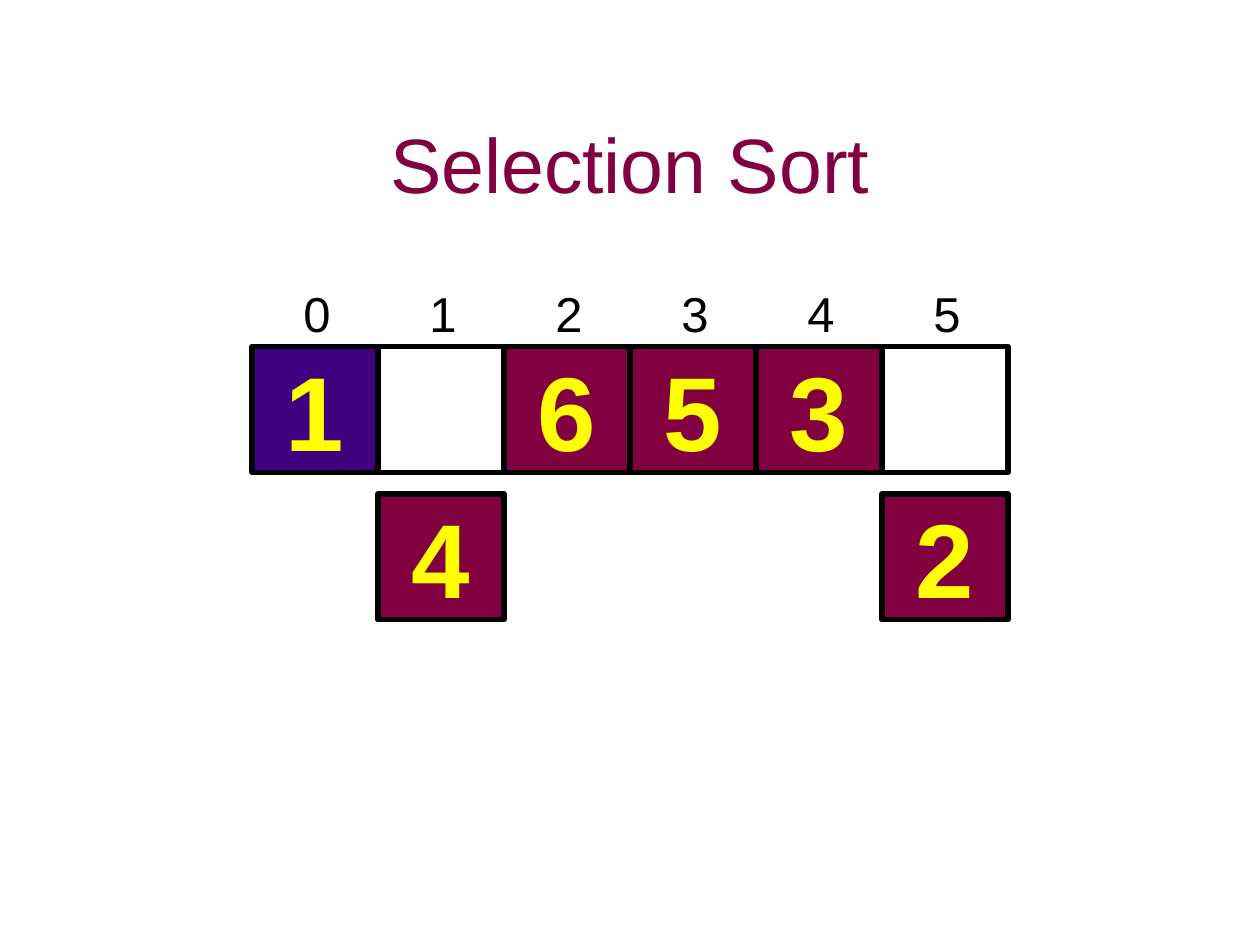
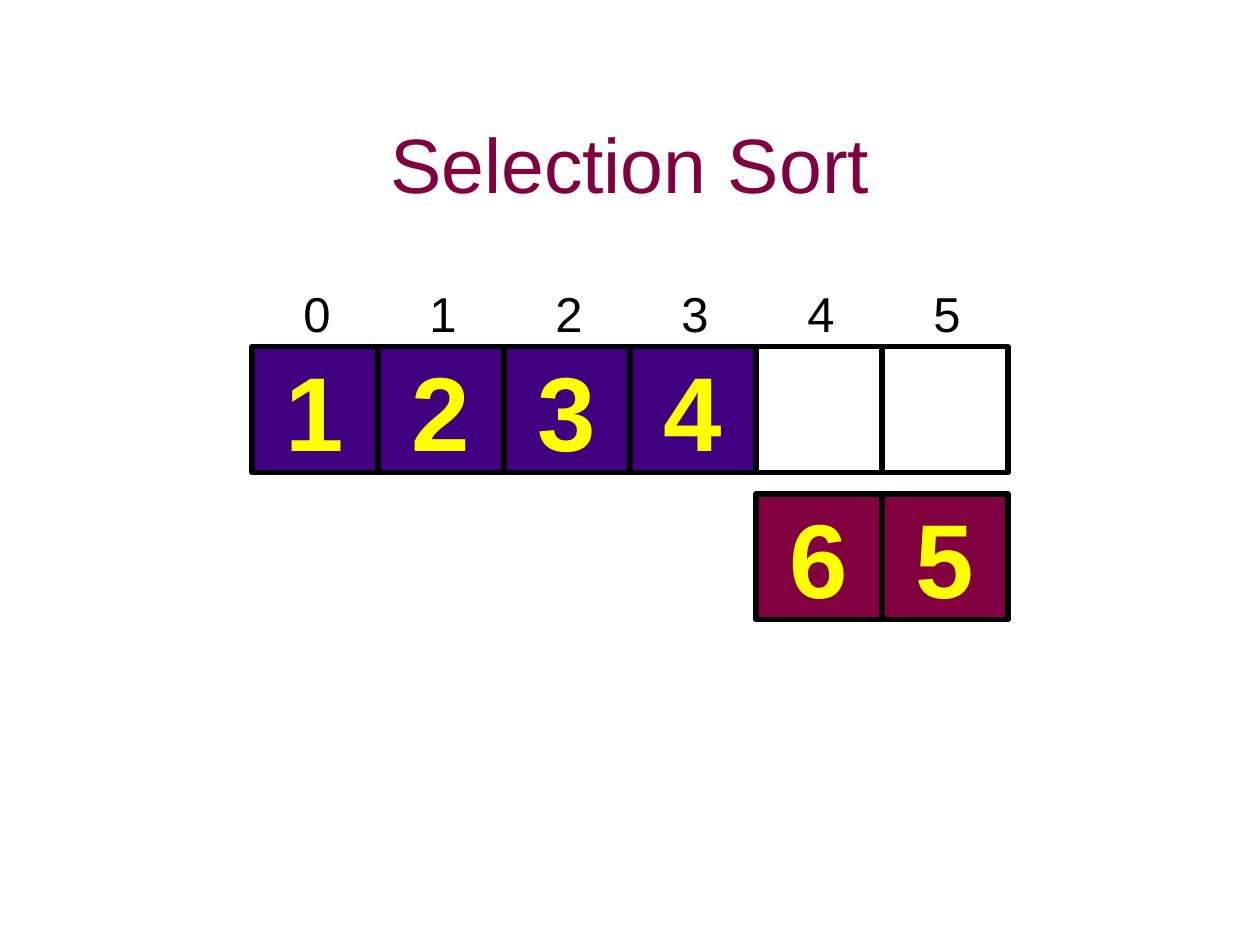
import pptx
import pptx.util
import pptx.dml.color
import pptx.enum.shapes
import pptx.enum.text

Inches = pptx.util.Inches
RGBColor = pptx.dml.color.RGBColor
ALIGN = pptx.enum.text.PP_ALIGN
ANCHOR = pptx.enum.text.MSO_ANCHOR

MAROON = RGBColor(0x80, 0x00, 0x40)
PURPLE = RGBColor(0x40, 0x00, 0x80)
YELLOW = RGBColor(0xFF, 0xFF, 0x00)
BLACK = RGBColor(0x00, 0x00, 0x00)

FONT = "Arial"
TITLE_ONLY = 5
CELL = 1
ARRAY_LEFT, ARRAY_TOP = 2, 2.75
SWAP_TOP = 3.92
INDEX_TOP, INDEX_OFFSET = 2.2, 0.31

# Each step: array values, number already sorted, indexes being swapped
STEPS = [
    ([1, 4, 6, 5, 3, 2], 1, (1, 5)),
    ([1, 2, 3, 4, 6, 5], 4, (4, 5)),
]


class SortDeck:
    """Holds the presentation, its style and the current slide."""

    def __init__(self):
        self.prs = pptx.Presentation()
        self.prs.slide_width = Inches(10)
        self.prs.slide_height = Inches(7.5)
        self.slide = None

    def set_text(self, shape, text, size, color, align, anchor, bold=False, wrap=False):
        frame = shape.text_frame
        frame.text = text
        frame.word_wrap = wrap
        frame.vertical_anchor = anchor
        paragraph = frame.paragraphs[0]
        paragraph.alignment = align
        font = paragraph.runs[0].font
        font.name, font.size, font.bold = FONT, pptx.util.Pt(size), bold
        font.color.rgb = color

    def add_slide(self, heading):
        self.slide = self.prs.slides.add_slide(self.prs.slide_layouts[TITLE_ONLY])
        title = self.slide.shapes.title
        title.left, title.top = Inches(0.75), Inches(0.67)
        title.width, title.height = Inches(8.5), Inches(1.25)
        self.set_text(title, heading, 44, MAROON, ALIGN.CENTER, ANCHOR.MIDDLE, wrap=True)

    def index_label(self, index):
        label = self.slide.shapes.add_textbox(
            Inches(ARRAY_LEFT + index * CELL + INDEX_OFFSET), Inches(INDEX_TOP),
            Inches(0.41), Inches(0.57))
        self.set_text(label, str(index), 28, BLACK, ALIGN.LEFT, ANCHOR.TOP)
        label.text_frame.auto_size = pptx.enum.text.MSO_AUTO_SIZE.SHAPE_TO_FIT_TEXT

    def cell(self, index, top, value=None, fill=None):
        square = self.slide.shapes.add_shape(
            pptx.enum.shapes.MSO_SHAPE.RECTANGLE,
            Inches(ARRAY_LEFT + index * CELL), Inches(top), Inches(CELL), Inches(CELL))
        square.shadow.inherit = False
        square.line.color.rgb = BLACK
        square.line.width = pptx.util.Pt(3)
        if fill is None:
            square.fill.background()
            return
        square.fill.solid()
        square.fill.fore_color.rgb = fill
        self.set_text(square, str(value), 60, YELLOW, ALIGN.CENTER, ANCHOR.MIDDLE, bold=True)


def main():
    deck = SortDeck()
    for values, sorted_count, swapping in STEPS:
        deck.add_slide("Selection Sort")

        # Index labels and the empty slots of the values being swapped
        for index in range(len(values)):
            deck.index_label(index)
            if index in swapping:
                deck.cell(index, ARRAY_TOP)

        # Values: sorted ones in purple, swapped ones moved below the array
        for index, value in enumerate(values):
            top = SWAP_TOP if index in swapping else ARRAY_TOP
            fill = PURPLE if index < sorted_count else MAROON
            deck.cell(index, top, value, fill)

    deck.prs.save("out.pptx")


if __name__ == "__main__":
    main()
